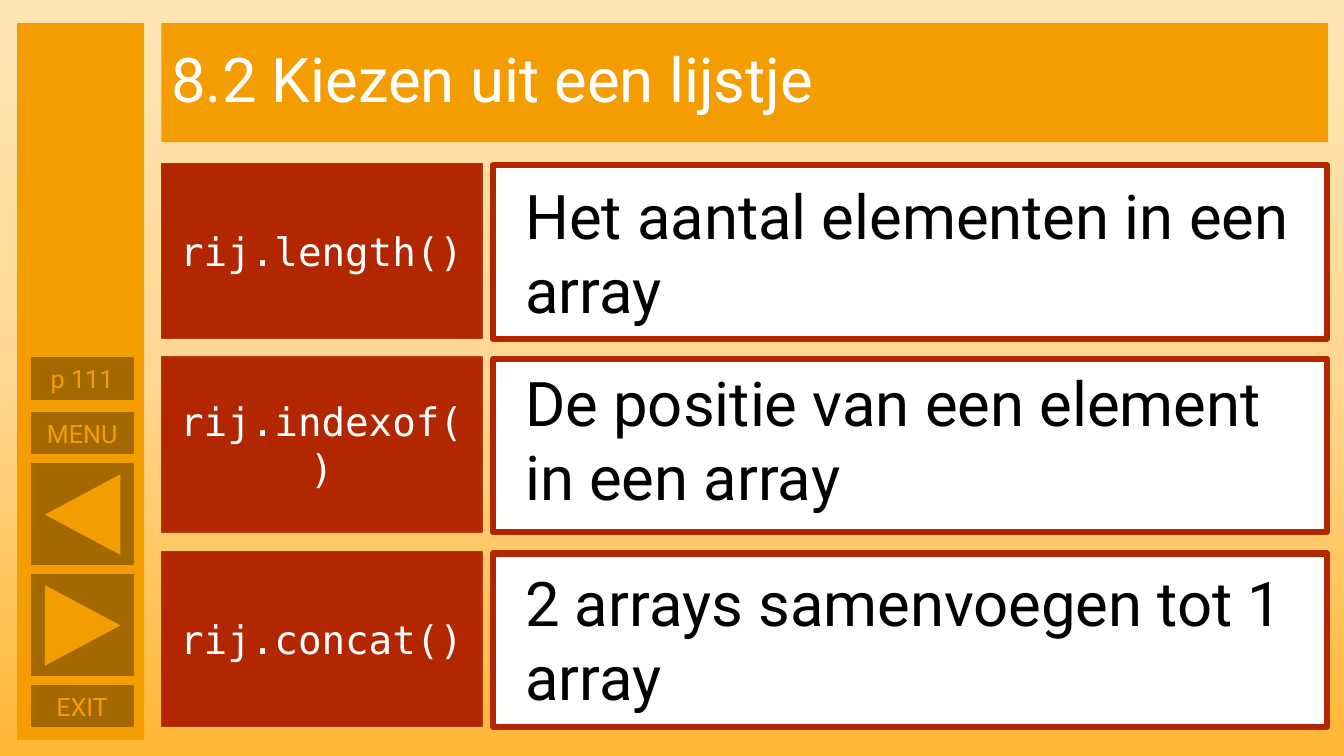
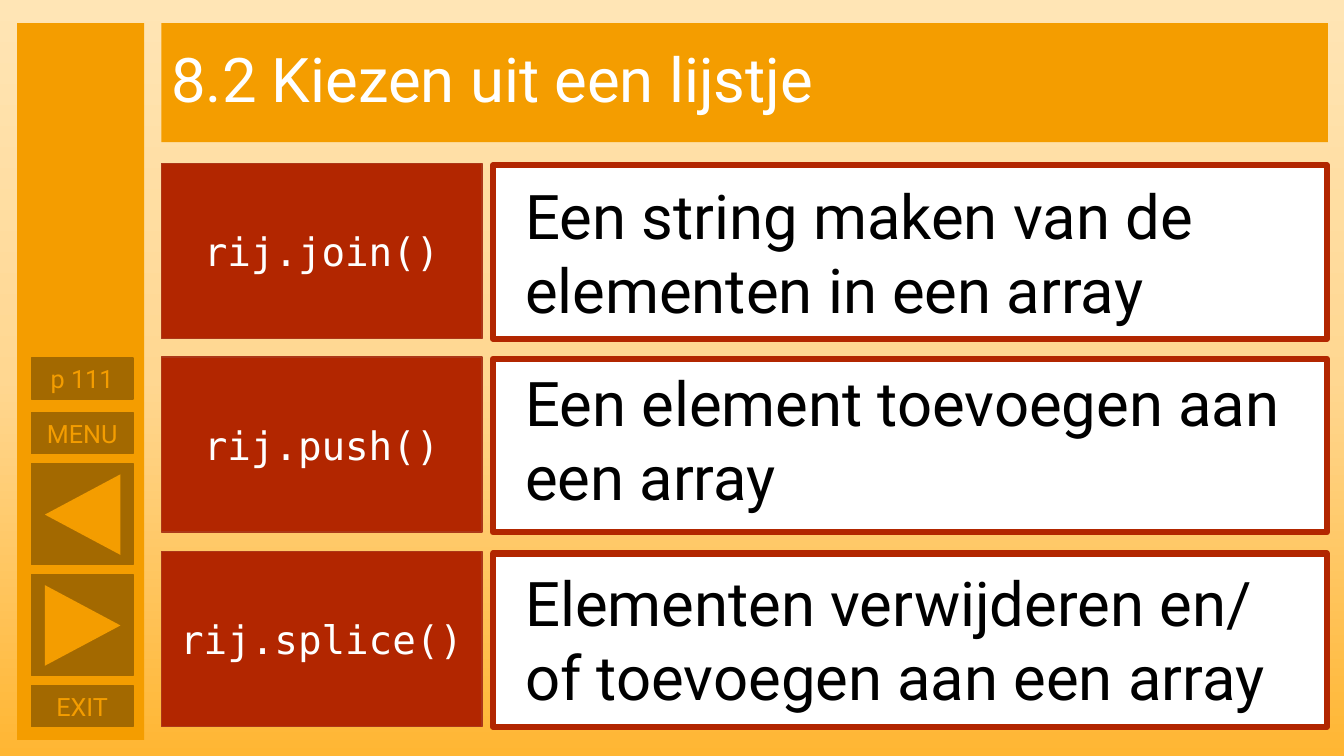
import pptx
import pptx.util
import pptx.dml.color
import pptx.enum.shapes
import pptx.enum.text
import pptx.oxml
import pptx.oxml.ns
from dataclasses import dataclass

TITLE = "8.2 Kiezen uit een lijstje"
SLIDES = [
    [
        ("rij.length()", "Het aantal elementen in een array"),
        ("rij.indexof()", "De positie van een element in een array"),
        ("rij.concat()", "2 arrays samenvoegen tot 1 array"),
    ],
    [
        ("rij.join()", "Een string maken van de elementen in een array"),
        ("rij.push()", "Een element toevoegen aan een array"),
        ("rij.splice()", "Elementen verwijderen en/ of toevoegen aan een array"),
    ],
]
NAV_LABELS = [("p 111", 355), ("MENU", 409), ("EXIT", 680)]
NAV_ARROWS = [(460, 270), (570, 90)]
ROWS = [(162, 172), (354, 357), (547, 556)]

SLIDE_SIZE = (1333, 750)
TITLE_BAND = (160, 23, 1157, 118)
SIDEBAR = (17, 23, 126, 711)
NAV_LEFT, NAV_WIDTH, LABEL_HEIGHT, ARROW_HEIGHT = 31, 101, 41, 100
TRIANGLE_LEFT, TRIANGLE_INSET, TRIANGLE_SIZE = 42, 13, (80, 75)
TERM_LEFT, TERM_SIZE = 160, (318, 174)
FRAME_LEFT, FRAME_DROP, FRAME_SIZE = 489, 2, (827, 172)
MEANING_LEFT, MEANING_SIZE = 511, (806, 158)
EMU_PER_PX = 9144


@dataclass(frozen=True)
class Theme:
    orange: str = "F49D00"
    brown: str = "A36900"
    red: str = "B22600"
    red_edge: str = "AC3819"
    white: str = "FFFFFF"
    black: str = "000000"
    backdrop: tuple = ((0, "FFE5B5"), (50, "FFD791"), (100, "FFB633"))
    font: str = "Roboto"
    code_font: str = "DejaVu Sans Mono"
    large: int = 44
    code: int = 28
    small: int = 18


THEME = Theme()
SHAPE = pptx.enum.shapes.MSO_SHAPE
ALIGN = pptx.enum.text.PP_ALIGN
ANCHOR = pptx.enum.text.MSO_ANCHOR


def rgb(color):
    return pptx.dml.color.RGBColor.from_string(color)


def emu(*lengths):
    return [pptx.util.Emu(length * EMU_PER_PX) for length in lengths]


def paint_backdrop(slide):
    slide.background.fill.solid()
    stops = "".join(
        f'<a:gs pos="{percent * 1000}"><a:srgbClr val="{color}"/></a:gs>'
        for percent, color in THEME.backdrop
    )
    gradient = pptx.oxml.parse_xml(
        f'<a:gradFill {pptx.oxml.ns.nsdecls("a")} rotWithShape="1">'
        f'<a:gsLst>{stops}</a:gsLst><a:lin ang="5400000" scaled="0"/></a:gradFill>'
    )
    solid = slide.element.find(".//" + pptx.oxml.ns.qn("p:bgPr"))[0]
    solid.getparent().replace(solid, gradient)


def add_block(slide, box, fill, edge=None, edge_width=1, kind=SHAPE.RECTANGLE):
    block = slide.shapes.add_shape(kind, *emu(*box))
    block.shadow.inherit = False
    block.fill.solid()
    block.fill.fore_color.rgb = rgb(fill)
    if edge:
        block.line.color.rgb = rgb(edge)
        block.line.width = pptx.util.Pt(edge_width)
    else:
        block.line.fill.background()
    return block


def write(shape, text, size, color, font=THEME.font, align=ALIGN.LEFT, anchor=ANCHOR.MIDDLE):
    frame = shape.text_frame
    frame.text = text
    frame.word_wrap = True
    frame.vertical_anchor = anchor
    paragraph = frame.paragraphs[0]
    paragraph.alignment = align
    style = paragraph.runs[0].font
    style.name = font
    style.size = pptx.util.Pt(size)
    style.color.rgb = rgb(color)
    return paragraph


def add_navigation(slide):
    add_block(slide, SIDEBAR, THEME.orange)
    for label, top in NAV_LABELS:
        button = add_block(slide, (NAV_LEFT, top, NAV_WIDTH, LABEL_HEIGHT), THEME.brown, THEME.brown)
        write(button, label, THEME.small, THEME.orange, align=ALIGN.CENTER)
    for top, rotation in NAV_ARROWS:
        add_block(slide, (NAV_LEFT, top, NAV_WIDTH, ARROW_HEIGHT), THEME.brown, THEME.brown)
        arrow = add_block(slide, (TRIANGLE_LEFT, top + TRIANGLE_INSET, *TRIANGLE_SIZE),
                          THEME.orange, kind=SHAPE.ISOSCELES_TRIANGLE)
        arrow.rotation = rotation


def add_definition(slide, term, meaning, top, meaning_top):
    term_box = add_block(slide, (TERM_LEFT, top, *TERM_SIZE), THEME.red, THEME.red_edge)
    write(term_box, term, THEME.code, THEME.white, THEME.code_font, ALIGN.CENTER)
    add_block(slide, (FRAME_LEFT, top + FRAME_DROP, *FRAME_SIZE), THEME.white, THEME.red, 4.5)
    meaning_box = slide.shapes.add_textbox(*emu(MEANING_LEFT, meaning_top, *MEANING_SIZE))
    write(meaning_box, meaning, THEME.large, THEME.black, anchor=ANCHOR.TOP)
    meaning_box.text_frame.auto_size = pptx.enum.text.MSO_AUTO_SIZE.SHAPE_TO_FIT_TEXT


def main():
    deck = pptx.Presentation()
    deck.slide_width, deck.slide_height = emu(*SLIDE_SIZE)
    for definitions in SLIDES:
        slide = deck.slides.add_slide(deck.slide_layouts[6])
        paint_backdrop(slide)
        title = write(add_block(slide, TITLE_BAND, THEME.orange), TITLE, THEME.large, THEME.white)
        title.line_spacing = 0.9
        add_navigation(slide)
        for (term, meaning), tops in zip(definitions, ROWS):
            add_definition(slide, term, meaning, *tops)
    deck.save("out.pptx")


if __name__ == "__main__":
    main()
